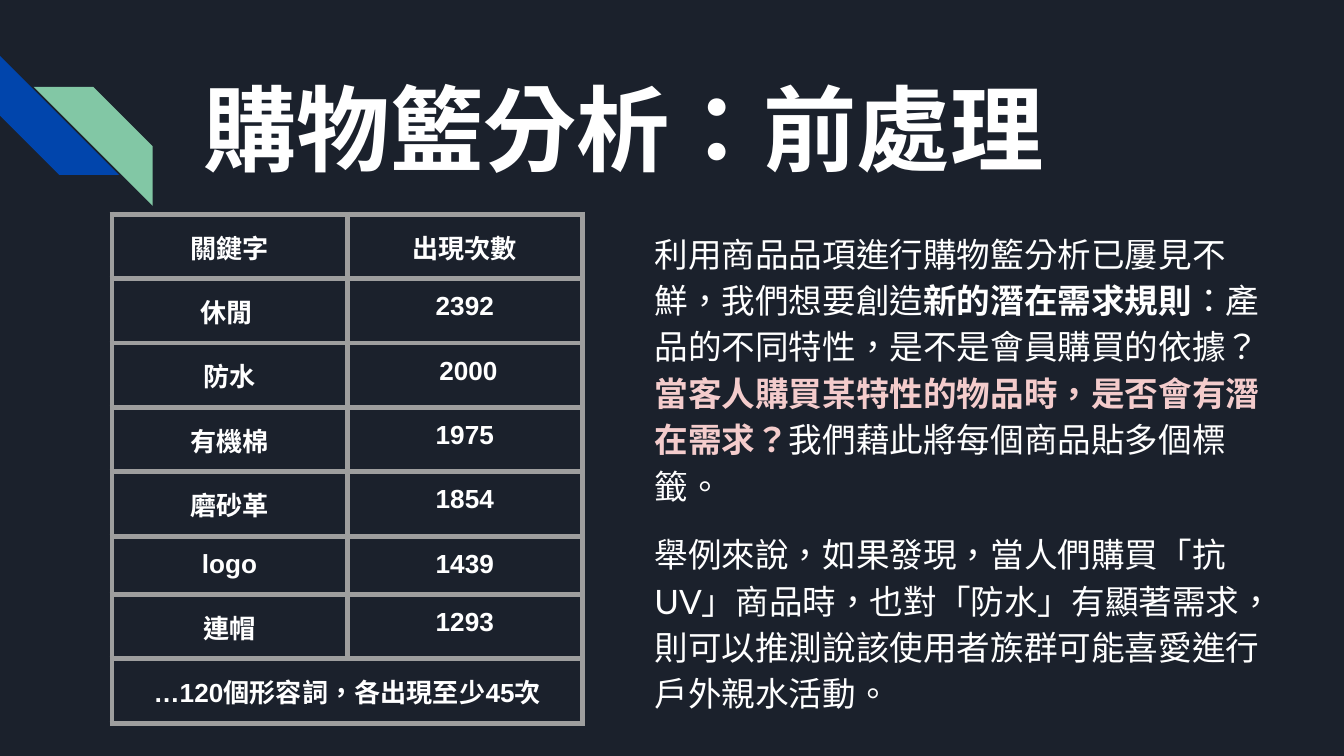
from lxml import etree
from pptx import Presentation
from pptx import util as u
from pptx.dml.color import RGBColor
from pptx.enum import lang, shapes, text
from pptx.oxml.ns import qn

SCALE = 9525
COLORS = {
    "background": "1B212C",
    "blue": "0145AC",
    "green": "82C7A5",
    "white": "FFFFFF",
    "pink": "F4CCCC",
    "border": "9E9E9E",
}
KEYWORDS = [
    ("關鍵字", "出現次數"),
    ("休閒 ", "2392"),
    ("防水", " 2000"),
    ("有機棉", "1975"),
    ("磨砂革", "1854"),
    ("logo", "1439"),
    ("連帽", "1293"),
    ("…120個形容詞，各出現至少45次",),
]
BODY = [
    [
        ("利用商品品項進行購物籃分析已屢見不鮮，我們想要創造", {}),
        ("新的潛在需求規則", {"bold": True}),
        ("：產品的不同特性，是不是會員購買的依據？", {}),
        ("當客人購買某特性的物品時，是否會有潛在需求？", {"bold": True, "color": "pink"}),
        ("我們藉此將每個商品貼多個標籤。", {}),
    ],
    [
        ("舉例來說，如果發現，當人們購買「抗UV」商品時，也對「防水」有顯著需求，"
         "則可以推測說該使用者族群可能喜愛進行戶外親水活動。", {}),
    ],
]


def px(value):
    return u.Emu(value * SCALE)


def rgb(name):
    return RGBColor.from_string(COLORS[name])


def write_text(paragraph, content, size=18, font="Lato", color="white", bold=False):
    paragraph._p.get_or_add_pPr().set("hangingPunct", "0")
    run = paragraph.add_run()
    run.text = content
    run.font.size = u.Pt(size)
    run.font.name = font
    run.font.bold = bold
    run.font.color.rgb = rgb(color)
    run.font.language_id = lang.MSO_LANGUAGE_ID.TRADITIONAL_CHINESE


def set_margins(target):
    target.margin_left = target.margin_right = u.Inches(0.1)
    target.margin_top = target.margin_bottom = u.Inches(0.1)


def add_frame(slide, left, top, width, height):
    frame = slide.shapes.add_textbox(*map(px, (left, top, width, height))).text_frame
    frame.word_wrap = True
    set_margins(frame)
    return frame


def draw_stripes(slide, left, top, size):
    stripes = [(0, 0, 270, "blue"), (24, 22, 90, "green")]
    for offset_x, offset_y, rotation, color in stripes:
        shape = slide.shapes.add_shape(
            shapes.MSO_SHAPE.DIAGONAL_STRIPE,
            px(left + offset_x), px(top + offset_y), px(size), px(size))
        shape.adjustments[0] = 0.5
        shape.rotation = rotation
        shape.shadow.inherit = False
        shape.fill.solid()
        shape.fill.fore_color.rgb = rgb(color)
        shape.line.fill.background()


def draw_title(slide, left, top, width, height):
    frame = add_frame(slide, left, top, width, height)
    write_text(frame.paragraphs[0], "購物籃分析：前處理", size=50, font="Montserrat", bold=True)


def draw_body(slide, left, top, width, height):
    frame = add_frame(slide, left, top, width, height)
    for index, runs in enumerate(BODY):
        paragraph = frame.add_paragraph() if index else frame.paragraphs[0]
        paragraph.line_spacing = 1.15
        if index:
            paragraph.space_before = paragraph.space_after = u.Pt(12)
        for content, style in runs:
            write_text(paragraph, content, **style)


def format_cell(cell):
    set_margins(cell)
    properties = cell._tc.get_or_add_tcPr()
    for side in ("lnL", "lnR", "lnT", "lnB"):
        line = etree.SubElement(properties, qn(f"a:{side}"), w=str(u.Pt(3)))
        fill = etree.SubElement(line, qn("a:solidFill"))
        etree.SubElement(fill, qn("a:srgbClr"), val=COLORS["border"])
    cell.fill.background()


def draw_table(slide, left, top, column_width, row_height, latin_row_height):
    heights = [latin_row_height if row[0].isascii() else row_height for row in KEYWORDS]
    row_count = len(KEYWORDS)
    table = slide.shapes.add_table(
        row_count, 2, px(left), px(top), px(2 * column_width), px(sum(heights))).table
    table.first_row = table.horz_banding = False
    for column in table.columns:
        column.width = px(column_width)
    for row, height in zip(table.rows, heights):
        row.height = px(height)
    for cell in table.iter_cells():
        format_cell(cell)
    table.cell(row_count - 1, 0).merge(table.cell(row_count - 1, 1))
    for row, contents in enumerate(KEYWORDS):
        for column, content in enumerate(contents):
            paragraph = table.cell(row, column).text_frame.paragraphs[0]
            paragraph.alignment = text.PP_ALIGN.CENTER
            write_text(paragraph, content, size=14, font="Arial", bold=True)


def main():
    presentation = Presentation()
    presentation.slide_width, presentation.slide_height = px(960), px(540)
    slide = presentation.slides.add_slide(presentation.slide_layouts[6])
    slide.background.fill.solid()
    slide.background.fill.fore_color.rgb = rgb("background")
    draw_stripes(slide, 0, 40, 85)
    draw_body(slide, 458, 153, 461, 333)
    draw_title(slide, 136, 41, 739, 96)
    draw_table(slide, 80, 153, 168, 46, 40)
    presentation.save("out.pptx")


if __name__ == "__main__":
    main()
